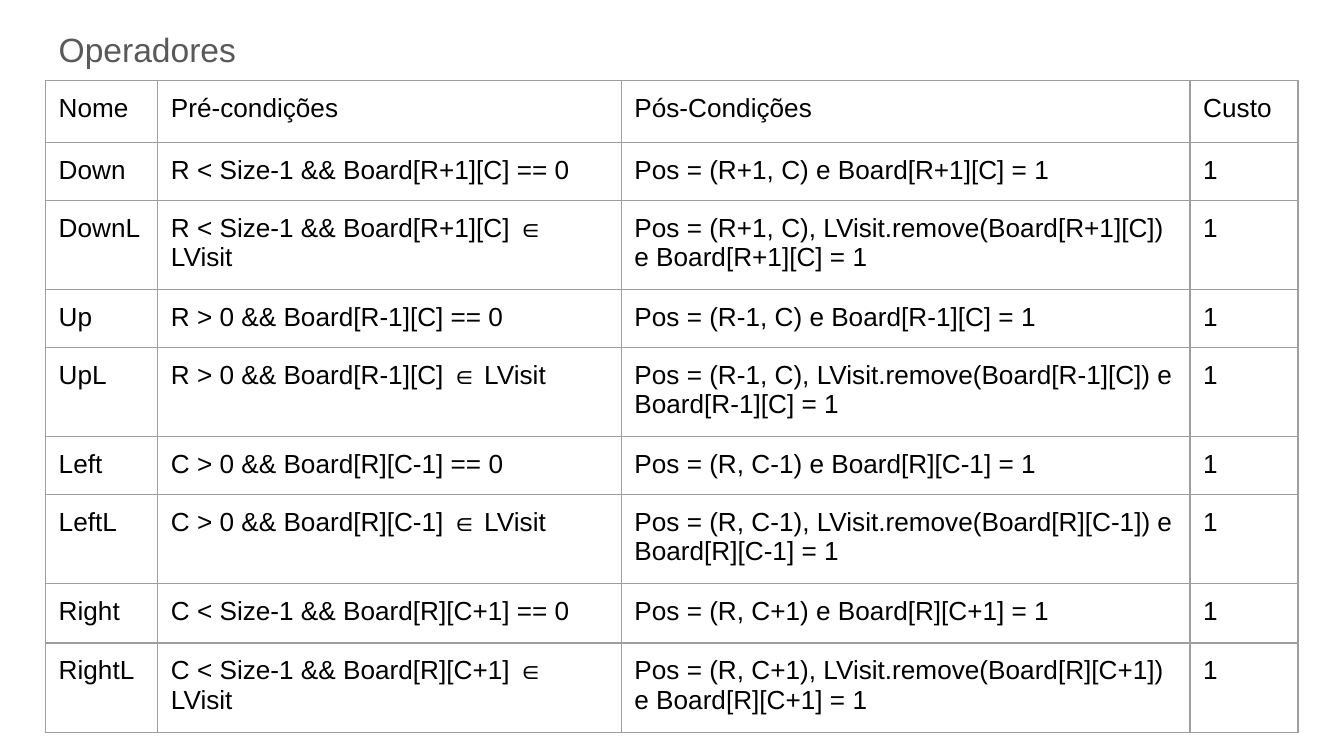
import pptx
import pptx.dml.color
import pptx.oxml
import pptx.oxml.ns
import pptx.util

Cm = pptx.util.Cm
Pt = pptx.util.Pt
BLACK = pptx.dml.color.RGBColor(0x00, 0x00, 0x00)
GREY = pptx.dml.color.RGBColor(0x59, 0x59, 0x59)
BORDER = pptx.dml.color.RGBColor(0x9E, 0x9E, 0x9E)
INSET = Cm(0.25)


def write(frame, text, size, color):
    """Put one styled run into a text frame."""
    span = frame.paragraphs[0].add_run()
    span.text = text
    span.font.name = "Arial"
    span.font.size = Pt(size)
    span.font.color.rgb = color


def add_borders(cell):
    """Draw a thin line on all four sides of a cell."""
    properties = cell._tc.get_or_add_tcPr()
    for position, side in enumerate(("lnL", "lnR", "lnT", "lnB")):
        properties.insert(position, pptx.oxml.parse_xml(
            f'<a:{side} {pptx.oxml.ns.nsdecls("a")} w="{Pt(0.75)}">'
            f'<a:solidFill><a:srgbClr val="{BORDER}"/></a:solidFill></a:{side}>'))


deck = pptx.Presentation()
deck.slide_width = Cm(25.4)
deck.slide_height = Cm(14.29)
page = deck.slides.add_slide(deck.slide_layouts[6])

title = page.shapes.add_textbox(Cm(0.86), Cm(0.3), Cm(23.67), Cm(1.6))
title.text_frame.word_wrap = True
title.text_frame.margin_left = title.text_frame.margin_right = INSET
title.text_frame.margin_top = title.text_frame.margin_bottom = INSET
write(title.text_frame, "Operadores", 18, GREY)

# Each move: name, guard, new position, board square
moves = [
    ("Down", "R < Size-1", "(R+1, C)", "Board[R+1][C]"),
    ("Up", "R > 0", "(R-1, C)", "Board[R-1][C]"),
    ("Left", "C > 0", "(R, C-1)", "Board[R][C-1]"),
    ("Right", "C < Size-1", "(R, C+1)", "Board[R][C+1]"),
]
rows = [("Nome", "Pré-condições", "Pós-Condições", "Custo")]
for name, guard, target, square in moves:
    rows.append((name, f"{guard} && {square} == 0",
                 f"Pos = {target} e {square} = 1", "1"))
    rows.append((name + "L", f"{guard} && {square} ∈ LVisit",
                 f"Pos = {target}, LVisit.remove({square}) e {square} = 1", "1"))

widths = [2.12, 8.76, 10.75, 2.04]
heights = [1.17] + [1.06, 1.62] * 3 + [1.12, 1.62]
operators = page.shapes.add_table(
    len(rows), len(widths), Cm(0.86), Cm(1.52), Cm(sum(widths)), Cm(sum(heights))).table
operators.first_row = False
operators.horz_banding = False
for column, width in zip(operators.columns, widths):
    column.width = Cm(width)
for row, height, texts in zip(operators.rows, heights, rows):
    row.height = Cm(height)
    for cell, text in zip(row.cells, texts):
        cell.margin_left = cell.margin_right = INSET
        cell.margin_top = cell.margin_bottom = INSET
        cell.fill.background()
        add_borders(cell)
        write(cell.text_frame, text, 14, BLACK)

deck.save("out.pptx")
